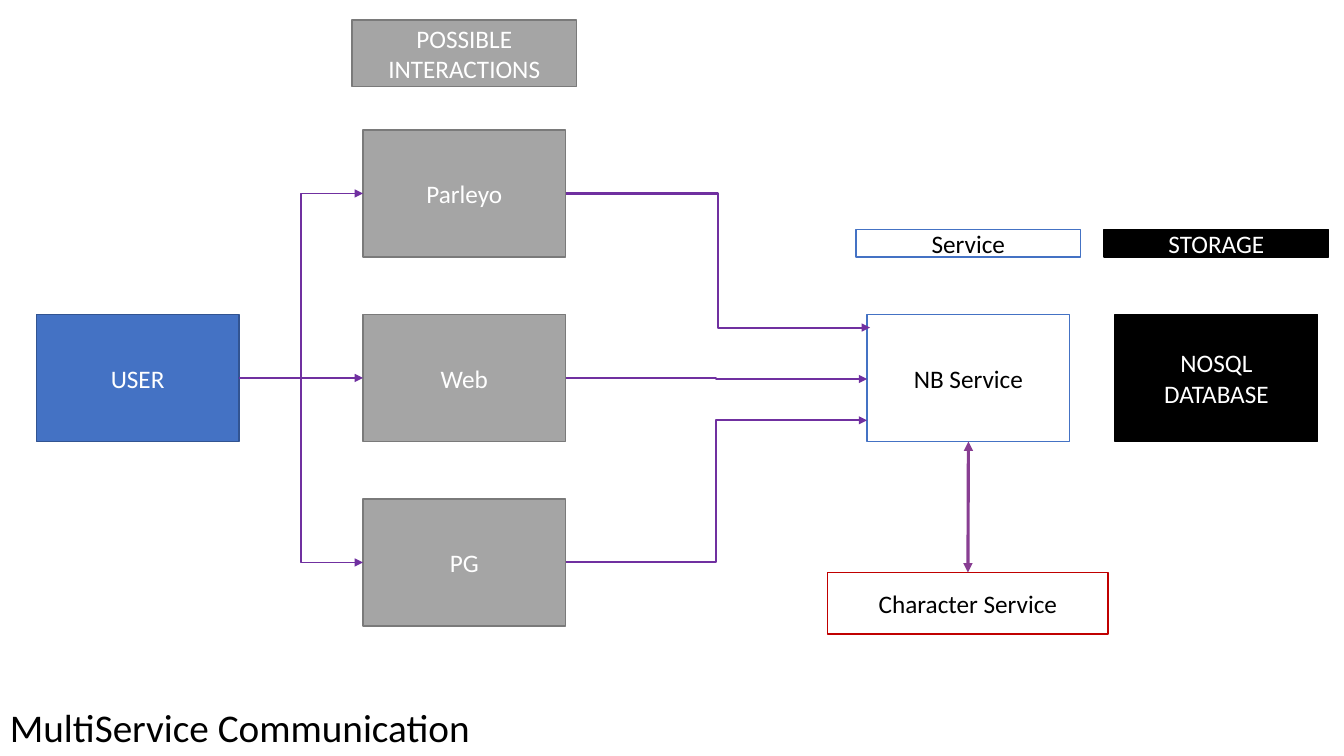
"""Build the MultiService Communication diagram slide."""
import pptx
import pptx.dml.color
import pptx.enum.shapes
import pptx.enum.text
import pptx.oxml.xmlchemy
import pptx.util

Inches = pptx.util.Inches
COLORS = {
    "white": "FFFFFF", "black": "000000", "blue": "4472C4", "navy": "325491",
    "gray": "A5A5A5", "dark_gray": "7A7A7A", "red": "C00000",
    "purple": "7030A0", "plum": "883E92",
}
STYLES = {
    "user": ("blue", "navy", "white"),
    "interaction": ("gray", "dark_gray", "white"),
    "service": ("white", "blue", "black"),
    "storage": ("black", "black", "white"),
    "character": (None, "red", "black"),
}
TOP, LEFT, BOTTOM, RIGHT = range(4)


def format_text(frame, size, color, align):
    for para in frame.paragraphs:
        para.alignment = align
        for span in para.runs:
            span.font.name = "Calibri"
            span.font.size = pptx.util.Pt(size)
            span.font.color.rgb = pptx.dml.color.RGBColor.from_string(COLORS[color])


def add_arrow(kind, start, end, color, width, ends):
    arrow = slide.shapes.add_connector(kind, *map(Inches, start + end))
    arrow.line.color.rgb = pptx.dml.color.RGBColor.from_string(COLORS[color])
    arrow.line.width = pptx.util.Pt(width)
    properties = arrow._element.spPr
    for tag in ends:
        head = pptx.oxml.xmlchemy.OxmlElement(tag)
        head.set("type", "triangle")
        properties.get_or_add_ln().append(head)
    properties.append(pptx.oxml.xmlchemy.OxmlElement("a:effectLst"))
    return arrow


deck = pptx.Presentation()
deck.slide_width, deck.slide_height = Inches(13.33), Inches(7.5)
slide = deck.slides.add_slide(deck.slide_layouts[6])

NODE_WIDTH, NODE_HEIGHT = 2.01, 1.26
LABEL_WIDTH = 2.23
MIDDLE_TOP, ROW_STEP = 3.12, 1.83
INTERACTION_LEFT, SERVICE_LEFT, STORAGE_LEFT = 3.6, 8.6, 11.06
LABEL_SHIFT = (LABEL_WIDTH - NODE_WIDTH) / 2
interactions = ["Parleyo", "Web", "PG"]

nodes = [
    ("USER", "user", 0.36, MIDDLE_TOP, NODE_WIDTH, NODE_HEIGHT),
    ("NB Service", "service", SERVICE_LEFT, MIDDLE_TOP, NODE_WIDTH, NODE_HEIGHT),
    ("NOSQL\nDATABASE", "storage", STORAGE_LEFT, MIDDLE_TOP, NODE_WIDTH, NODE_HEIGHT),
    ("POSSIBLE\nINTERACTIONS", "interaction", INTERACTION_LEFT - LABEL_SHIFT, 0.2, LABEL_WIDTH, 0.66),
    ("Service", "service", SERVICE_LEFT - LABEL_SHIFT, 2.28, LABEL_WIDTH, 0.27),
    ("STORAGE", "storage", STORAGE_LEFT - LABEL_SHIFT, 2.28, LABEL_WIDTH, 0.27),
    ("Character Service", "character", 8.21, 5.68, 2.78, 0.61),
]
for row, name in enumerate(interactions):
    top = MIDDLE_TOP + (row - 1) * ROW_STEP
    nodes.append((name, "interaction", INTERACTION_LEFT, top, NODE_WIDTH, NODE_HEIGHT))

boxes = {}
for name, style, left, top, width, height in nodes:
    fill, line, font = STYLES[style]
    box = slide.shapes.add_shape(
        pptx.enum.shapes.MSO_SHAPE.RECTANGLE, *map(Inches, (left, top, width, height)))
    box.shadow.inherit = False
    if fill:
        box.fill.solid()
        box.fill.fore_color.rgb = pptx.dml.color.RGBColor.from_string(COLORS[fill])
    else:
        box.fill.background()
    box.line.color.rgb = pptx.dml.color.RGBColor.from_string(COLORS[line])
    box.line.width = pptx.util.Pt(1)
    box.text_frame.text = name
    box.text_frame.word_wrap = True
    box.text_frame.vertical_anchor = pptx.enum.text.MSO_ANCHOR.MIDDLE
    format_text(box.text_frame, 18, font, pptx.enum.text.PP_ALIGN.CENTER)
    boxes[name] = box

ELBOW = pptx.enum.shapes.MSO_CONNECTOR.ELBOW
service_entries = [(8.63, 3.25), (8.6, 3.76), (8.6, 4.17)]
for row, (name, entry) in enumerate(zip(interactions, service_entries)):
    center = 3.75 + (row - 1) * ROW_STEP
    request = add_arrow(ELBOW, (2.37, 3.75), (3.6, center), "purple", 1, ["a:tailEnd"])
    request.begin_connect(boxes["USER"], RIGHT)
    request.end_connect(boxes[name], LEFT)
    call = add_arrow(ELBOW, (5.62, center), entry, "purple", 1.5, ["a:tailEnd"])
    call.begin_connect(boxes[name], RIGHT)

exchange = add_arrow(pptx.enum.shapes.MSO_CONNECTOR.STRAIGHT, (9.6, 4.38), (9.6, 5.68),
                     "plum", 2.25, ["a:headEnd", "a:tailEnd"])
exchange.begin_connect(boxes["NB Service"], BOTTOM)
exchange.end_connect(boxes["Character Service"], TOP)

title = slide.shapes.add_textbox(*map(Inches, (0, 6.93, 4.82, 0.57)))
title.text_frame.text = "MultiService Communication"
title.text_frame.word_wrap = False
title.text_frame.auto_size = pptx.enum.text.MSO_AUTO_SIZE.SHAPE_TO_FIT_TEXT
format_text(title.text_frame, 28, "black", pptx.enum.text.PP_ALIGN.LEFT)

deck.save("out.pptx")
